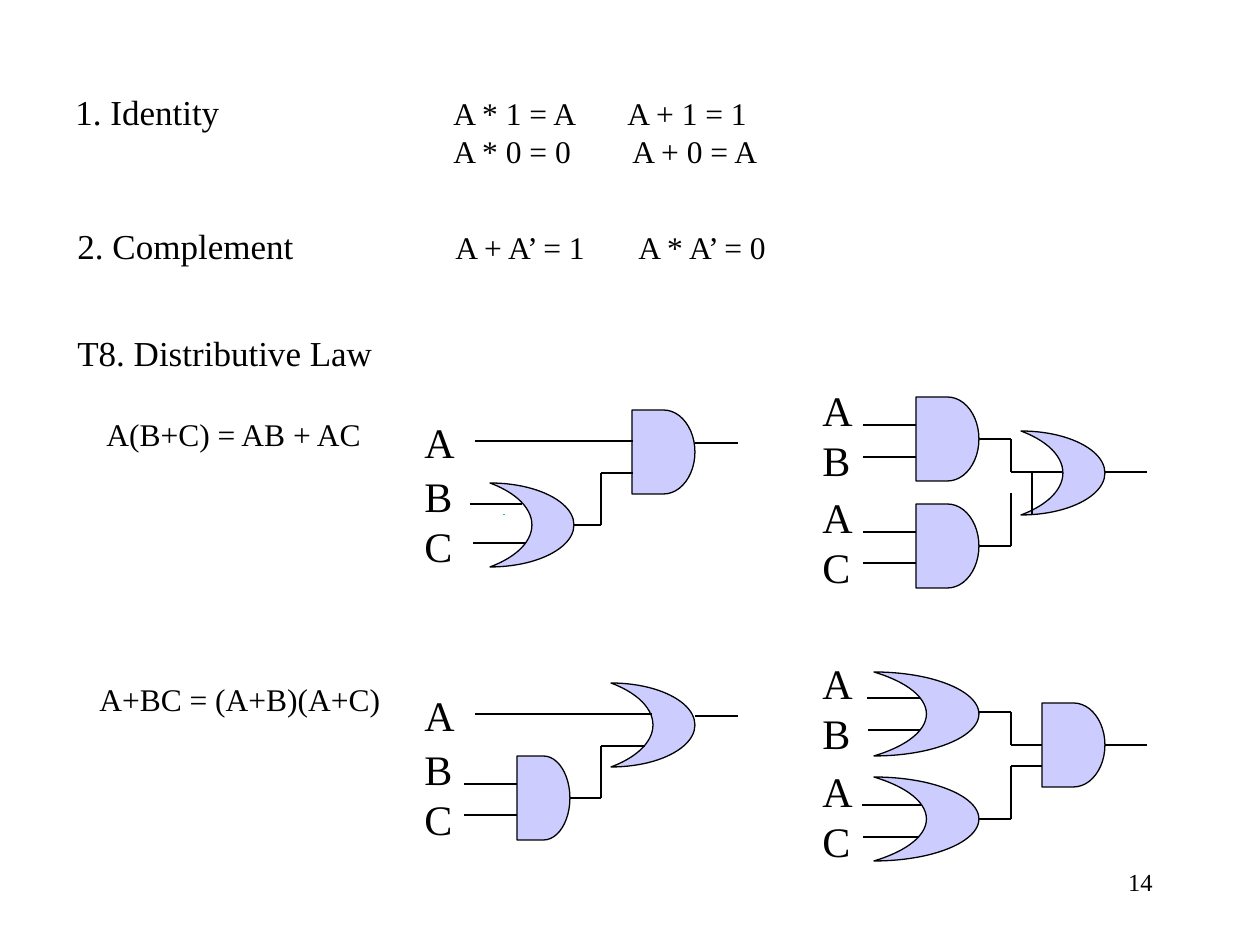
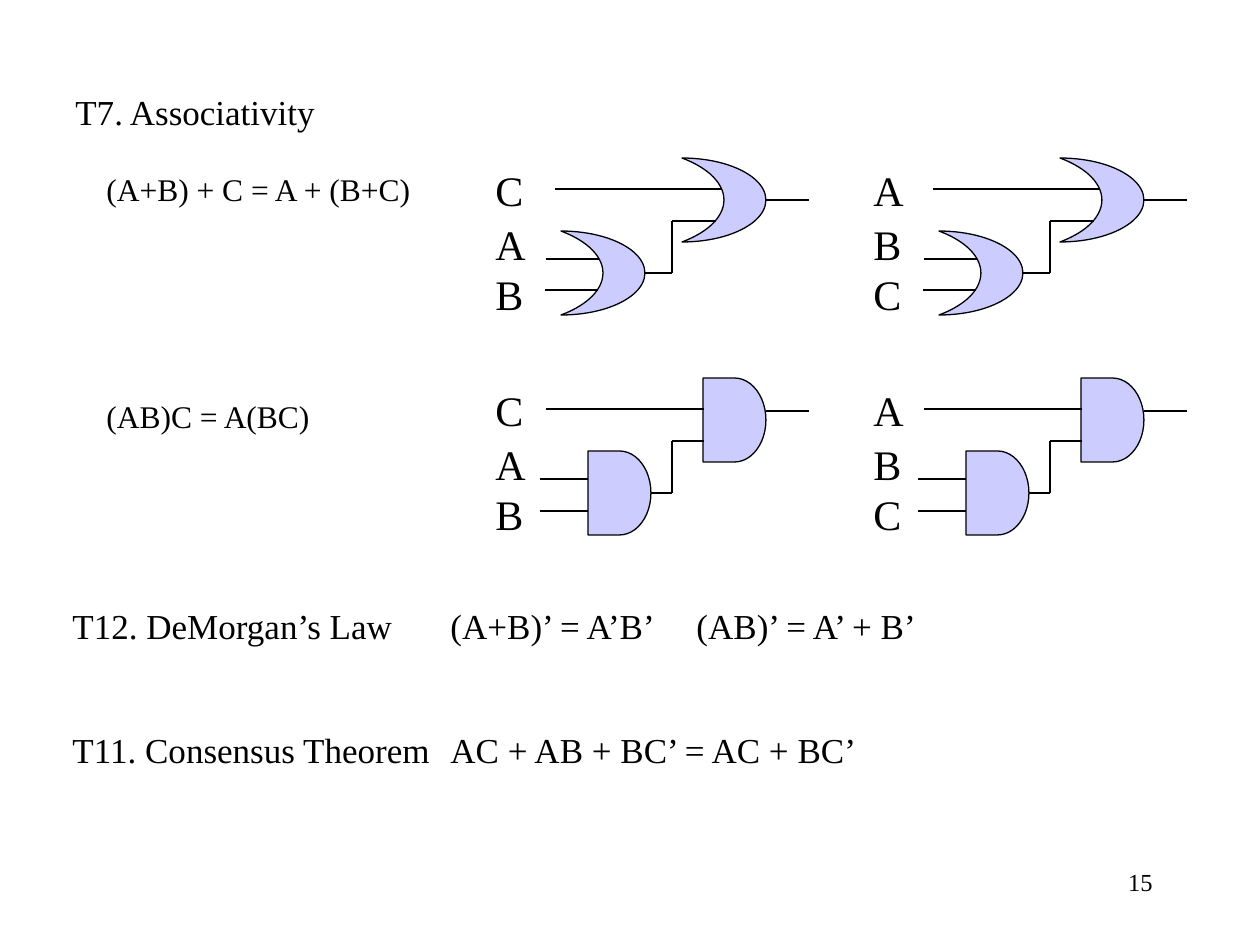
from dataclasses import dataclass
from itertools import pairwise

from lxml import etree
from pptx import Presentation
from pptx.dml.color import RGBColor
from pptx.enum.shapes import MSO_CONNECTOR, MSO_SHAPE
from pptx.enum.text import PP_ALIGN
from pptx.oxml.ns import qn
from pptx.util import Emu, Pt

PX = 914400 // 126
SLIDE_SIZE = (1260, 945)
FONT = "Times New Roman"
INK = RGBColor(0x00, 0x00, 0x00)
GATE_FILL = RGBColor(0xCC, 0xCC, 0xFF)
SPECK = RGBColor(0x00, 0xCC, 0x98)
AND, OR = MSO_SHAPE.FLOWCHART_DELAY, MSO_SHAPE.MOON
STRAIGHT = MSO_CONNECTOR.STRAIGHT
RIGHT = PP_ALIGN.RIGHT
GATE_WIDTH = {AND: 63, OR: 84}
GATE_HEIGHT = 84
HEAD, BODY, LETTER, NUMBER = 20, 18, 24, 14


@dataclass
class Line:
    """One paragraph: spans of (text, points), tab stops and indent in px, gap in points."""
    spans: list
    tabs: tuple = ()
    indent: int = 0
    gap: float = 0


@dataclass
class Nested:
    """Two gates in a row; x and y are the slide place, the rest is relative to it."""
    x: int
    y: int
    letters: str
    outer: int
    inner: int
    inner_left: int
    inner_width: int
    lead: tuple      # start and end of the top input
    feed_end: int    # end of the wire from the inner gate
    out_y: int
    inputs: tuple    # (start, end, y) of the two inner inputs


def associative(x, letters):
    """The OR and the AND circuit of one side of the associative law."""
    return [
        Nested(x, 158, letters, OR, OR, 78, 84, (72, 239), 233, 42,
               ((63, 116, 101), (62, 115, 132))),
        Nested(x, 378, letters, AND, AND, 105, 63, (63, 221), 221, 33,
               ((57, 105, 101), (57, 105, 133))),
    ]


PAGES = [
    {
        "number": "14",
        "texts": [
            ((63, 84, 873, 92), [
                Line([("1. Identity", HEAD), ("\tA * 1 = A\tA + 1 = 1", BODY)], (378, 552)),
                Line([("\tA * 0 = 0\tA + 0 = A", BODY)], (378, 557)),
            ]),
            ((65, 218, 891, 54), [
                Line([("2. Complement", HEAD), ("\tA + A’ = 1\tA * A’ = 0", BODY)], (378, 561)),
            ]),
            ((65, 325, 621, 399), [
                Line([("T8. Distributive Law", HEAD)]),
                Line([("A(B+C) = AB + AC", BODY)], indent=29, gap=24),
                Line([("A+BC = (A+B)(A+C)", BODY)], indent=22, gap=130),
            ]),
        ],
        "nested": [
            Nested(412, 410, "ABC", AND, OR, 78, 84, (63, 221), 221, 33,
                   ((58, 110, 94), (61, 114, 133))),
            Nested(412, 683, "ABC", OR, AND, 105, 53, (63, 240), 233, 33,
                   ((52, 105, 101), (52, 105, 132))),
        ],
        "letters": [(810, 378, "AB"), (810, 485, "AC"), (810, 651, "AB"), (810, 759, "AC")],
        "gates": [
            (AND, 916, 397, 63), (AND, 916, 504, 63), (OR, 1021, 431, 84),
            (OR, 874, 672, 105), (OR, 874, 777, 105), (AND, 1042, 703, 63),
        ],
        "wires": [
            [(863, 425), (916, 425)], [(863, 457), (916, 457)],
            [(863, 532), (916, 532)], [(863, 563), (916, 563)],
            [(979, 439), (1011, 439), (1011, 472), (1062, 472)],
            [(979, 546), (1011, 546), (1011, 493)],
            [(1032, 515), (1032, 472)],
            [(1105, 472), (1147, 472)],
            [(867, 698), (920, 698)], [(868, 730), (920, 730)],
            [(862, 805), (921, 805)], [(863, 837), (919, 837)],
            [(979, 712), (1011, 712), (1011, 745), (1042, 745)],
            [(979, 819), (1011, 819), (1011, 766), (1042, 766)],
            [(1105, 745), (1147, 745)],
        ],
        "specks": [[(504, 515), (504, 514)]],
    },
    {
        "number": "15",
        "texts": [
            ((63, 84, 621, 358), [
                Line([("T7. Associativity", HEAD)]),
                Line([("(A+B) + C = A + (B+C)", BODY)], indent=31, gap=21.6),
                Line([("(AB)C = A(BC)", BODY)], indent=31, gap=108),
            ]),
            ((60, 598, 979, 54), [
                Line([("T12. DeMorgan’s Law\t(A+B)’ = A’B’\t(AB)’ = A’ + B’", HEAD)], (378, 624)),
            ]),
            ((60, 722, 979, 54), [
                Line([("T11. Consensus Theorem\tAC + AB + BC’ = AC + BC’", HEAD)], (378,)),
            ]),
        ],
        "nested": associative(483, "CAB") + associative(861, "ABC"),
        "letters": [],
        "gates": [],
        "wires": [],
        "specks": [],
    },
]


def scaled(*lengths):
    return [Emu(length * PX) for length in lengths]


def add_text(page, place, lines, align=None):
    box = page.shapes.add_textbox(*scaled(*place))
    frame = box.text_frame
    frame.word_wrap = True
    for index, line in enumerate(lines):
        para = frame.add_paragraph() if index else frame.paragraphs[0]
        para.alignment = align
        if line.gap:
            para.space_before = Pt(line.gap)
        properties = para._p.get_or_add_pPr()
        if line.indent:
            properties.set("marL", str(line.indent * PX))
        if line.tabs:
            stops = etree.SubElement(properties, qn("a:tabLst"))
            for stop in line.tabs:
                etree.SubElement(stops, qn("a:tab"), pos=str(stop * PX), algn="l")
        for text, size in line.spans:
            span = para.add_run()
            span.text = text
            span.font.name = FONT
            span.font.size = Pt(size)
            span.font.color.rgb = INK


def add_letters(page, x, y, letters):
    """Input names, one under the other."""
    height = 63 if len(letters) == 1 else 113
    add_text(page, (x, y, 55, height), [Line([(letter, LETTER)]) for letter in letters])


def add_gate(page, kind, x, y, width):
    gate = page.shapes.add_shape(kind, *scaled(x, y, width, GATE_HEIGHT))
    gate.shadow.inherit = False
    gate.fill.solid()
    gate.fill.fore_color.rgb = GATE_FILL
    gate.line.color.rgb = INK
    gate.line.width = Pt(0.75)
    if kind == OR:
        gate.adjustments[0] = 0.5
        gate._element.spPr.find(qn("a:xfrm")).set("flipH", "1")


def add_wire(page, points, color=INK):
    """Straight connectors through all the points."""
    for start, end in pairwise(points):
        wire = page.shapes.add_connector(STRAIGHT, *scaled(*start, *end))
        wire.line.color.rgb = color
        wire.line.width = Pt(0.75)
        etree.SubElement(wire._element.spPr, qn("a:effectLst"))


def add_nested(page, circuit):
    x, y = circuit.x, circuit.y
    outer_right, riser, inner_top = 283, 189, 73
    inner_middle = inner_top + GATE_HEIGHT // 2
    inner_right = circuit.inner_left + circuit.inner_width
    outer_width = GATE_WIDTH[circuit.outer]

    add_letters(page, x, y, circuit.letters[0])
    add_letters(page, x, y + 54, circuit.letters[1:])
    add_gate(page, circuit.outer, x + outer_right - outer_width, y, outer_width)
    add_gate(page, circuit.inner, x + circuit.inner_left, y + inner_top, circuit.inner_width)

    lead_start, lead_end = circuit.lead
    paths = [
        [(lead_start, 31), (lead_end, 31)],
        [(inner_right, inner_middle), (riser, inner_middle), (riser, 63), (circuit.feed_end, 63)],
        [(outer_right, circuit.out_y), (326, circuit.out_y)],
    ]
    paths += [[(start, level), (end, level)] for start, end, level in circuit.inputs]
    for path in paths:
        add_wire(page, [(x + across, y + down) for across, down in path])


def main():
    deck = Presentation()
    deck.slide_width, deck.slide_height = scaled(*SLIDE_SIZE)
    for content in PAGES:
        page = deck.slides.add_slide(deck.slide_layouts[6])
        add_text(page, (903, 861, 262, 63), [Line([(content["number"], NUMBER)])], RIGHT)
        for place, lines in content["texts"]:
            add_text(page, place, lines)
        for circuit in content["nested"]:
            add_nested(page, circuit)
        for x, y, letters in content["letters"]:
            add_letters(page, x, y, letters)
        for gate in content["gates"]:
            add_gate(page, *gate)
        for points in content["wires"]:
            add_wire(page, points)
        for points in content["specks"]:
            add_wire(page, points, SPECK)
    deck.save("out.pptx")


if __name__ == "__main__":
    main()
